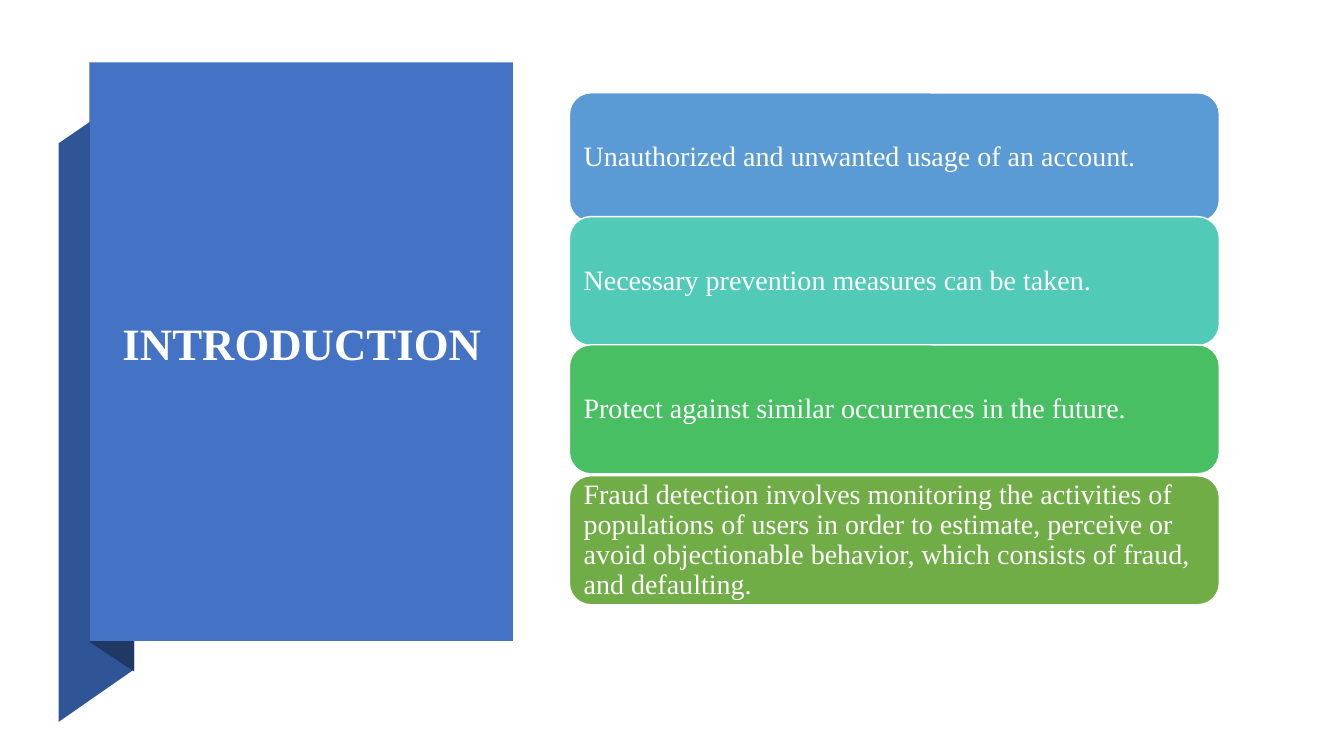
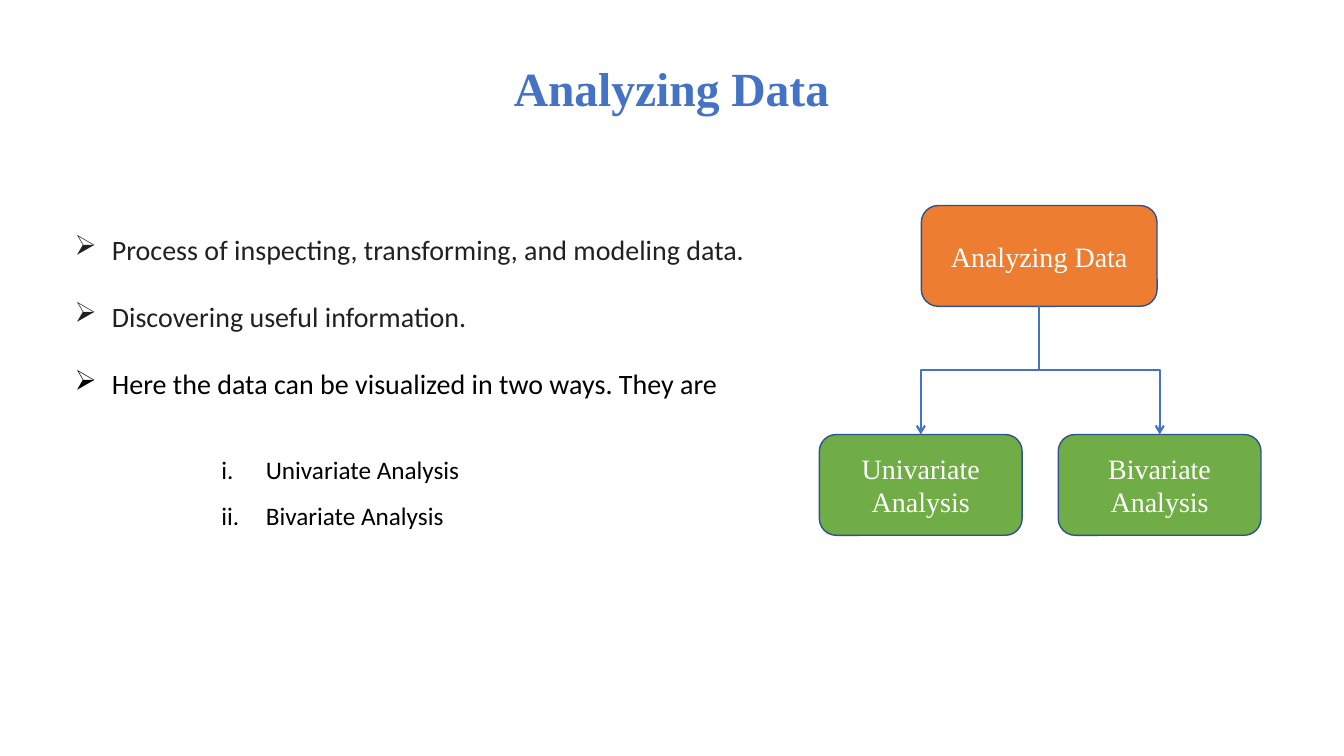
from dataclasses import dataclass

from lxml.etree import SubElement
from pptx import Presentation
from pptx.dml.color import RGBColor
from pptx.enum.shapes import MSO_CONNECTOR as Link, MSO_SHAPE as Preset
from pptx.enum.text import MSO_ANCHOR as Anchor, PP_ALIGN as Align
from pptx.oxml.ns import qn
from pptx.util import Cm, Pt

COLORS = {
    "white": "FFFFFF",
    "black": "000000",
    "ink": "202122",
    "blue": "4472C4",
    "ribbon": "2F5597",
    "fold": "203864",
    "outline": "2F528F",
    "sky": "5B9BD5",
    "teal": "52CAB8",
    "emerald": "49BF64",
    "green": "70AD47",
    "orange": "ED7D31",
}
SERIF = "Times New Roman"
SANS = "Calibri"


@dataclass(frozen=True)
class Area:
    left: float
    top: float
    width: float
    height: float

    def lengths(self) -> tuple:
        return Cm(self.left), Cm(self.top), Cm(self.width), Cm(self.height)


@dataclass(frozen=True)
class Style:
    font: str
    size: int
    color: str
    bold: bool = False
    align: Align = Align.LEFT
    spacing: float = 1.0


@dataclass(frozen=True)
class Card:
    text: str
    top: float
    fill: str


@dataclass(frozen=True)
class Node:
    text: str
    area: Area
    fill: str


@dataclass(frozen=True)
class Marker:
    tag: str
    attribute: str
    value: str
    indent: float


@dataclass(frozen=True)
class Item:
    text: str
    style: Style


PANEL_TITLE = Style(SERIF, 32, "white", True, Align.CENTER, 0.9)
PAGE_TITLE = Style(SERIF, 34, "blue", True, Align.CENTER)
CARD_TEXT = Style(SERIF, 20, "white", spacing=0.9)
NODE_TEXT = Style(SERIF, 20, "white", align=Align.CENTER)
POINT = Style(SANS, 20, "ink", align=Align.JUSTIFY, spacing=2.0)
LAST_POINT = Style(SANS, 20, "black", spacing=2.0)
SUBPOINT = Style(SANS, 18, "black", align=Align.JUSTIFY, spacing=1.5)

ARROW_BULLET = Marker("a:buChar", "char", "➢", 0.94)
ROMAN_NUMBER = Marker("a:buAutoNum", "type", "romanLcPeriod", 1.12)

RIBBON = [(1.48, 18.19), (3.38, 16.87), (3.38, 2.31), (1.48, 3.61)]
FOLD = [(2.26, 16.18), (3.38, 16.92), (3.38, 2.29), (2.26, 1.57)]
PANEL = Area(2.26, 1.57, 10.67, 14.58)

CARDS = [
    Card("Unauthorized and unwanted usage of an account.", 2.34, "sky"),
    Card("Necessary prevention measures can be taken.", 5.46, "teal"),
    Card("Protect against similar occurrences in the future.", 8.69, "emerald"),
    Card(
        "Fraud detection involves monitoring the activities of populations of users "
        "in order to estimate, perceive or avoid objectionable behavior, which "
        "consists of fraud, and defaulting.",
        11.99,
        "green",
    ),
]

POINTS = [
    Item("Process of inspecting, transforming, and modeling data.", POINT),
    Item("Discovering useful information.", POINT),
    Item("Here the data can be visualized in two ways. They are", LAST_POINT),
]
ANALYSES = ["Univariate Analysis", "Bivariate Analysis"]
ROOT = Node("Analyzing Data", Area(23.22, 5.18, 5.94, 2.54), "orange")
BRANCHES = [
    Node(text, Area(20.65 + 6.02 * index, 10.95, 5.11, 2.54), "green")
    for index, text in enumerate(ANALYSES)
]


def rgb(name: str) -> RGBColor:
    return RGBColor.from_string(COLORS[name])


def paint(shape, fill: str, outline: str = "") -> None:
    shape.shadow.inherit = False
    shape.fill.solid()
    shape.fill.fore_color.rgb = rgb(fill)
    if outline:
        shape.line.color.rgb = rgb(outline)
        shape.line.width = Pt(1)
    else:
        shape.line.fill.background()


def write(para, text: str, style: Style) -> None:
    para.alignment = style.align
    para.line_spacing = style.spacing
    span = para.add_run()
    span.text = text
    span.font.name = style.font
    span.font.size = Pt(style.size)
    span.font.bold = style.bold
    span.font.color.rgb = rgb(style.color)


def mark(para, marker: Marker) -> None:
    properties = para._p.get_or_add_pPr()
    properties.set("marL", str(Cm(marker.indent)))
    properties.set("indent", str(-Cm(marker.indent)))
    SubElement(properties, qn(marker.tag)).set(marker.attribute, marker.value)


def add_polygon(page, points: list, fill: str) -> None:
    corners = [(Cm(x), Cm(y)) for x, y in points]
    builder = page.shapes.build_freeform(*corners[0])
    builder.add_line_segments(corners[1:], close=True)
    paint(builder.convert_to_shape(), fill)


def add_text(page, area: Area, items: list, anchor=Anchor.TOP, marker=None) -> None:
    frame = page.shapes.add_textbox(*area.lengths()).text_frame
    frame.word_wrap = True
    frame.vertical_anchor = anchor
    for index, item in enumerate(items):
        para = frame.add_paragraph() if index else frame.paragraphs[0]
        write(para, item.text, item.style)
        if marker:
            mark(para, marker)


def add_rounded(page, node: Node, outline: str, style: Style):
    box = page.shapes.add_shape(Preset.ROUNDED_RECTANGLE, *node.area.lengths())
    paint(box, node.fill, outline)
    frame = box.text_frame
    frame.word_wrap = True
    frame.vertical_anchor = Anchor.MIDDLE
    write(frame.paragraphs[0], node.text, style)
    return box


def add_branch_arrow(page, parent, child) -> None:
    start_x, start_y = parent.left + parent.width // 2, parent.top + parent.height
    end_x, end_y = child.left + child.width // 2, child.top
    arrow = page.shapes.add_connector(Link.ELBOW, start_x, start_y, end_x, end_y)
    arrow.begin_connect(parent, 2)
    arrow.end_connect(child, 0)

    run, drop = abs(end_x - start_x), end_y - start_y
    arrow.left = (start_x + end_x - drop) // 2
    arrow.top = (start_y + end_y - run) // 2
    arrow.width, arrow.height = drop, run
    properties = arrow._element.spPr
    rightward = end_x > start_x
    properties.xfrm.rot = 270 if rightward else 90
    properties.xfrm.flipH = rightward
    properties.xfrm.flipV = False

    arrow.line.color.rgb = rgb("blue")
    arrow.line.width = Pt(1.5)
    SubElement(properties.find(qn("a:ln")), qn("a:tailEnd")).set("type", "arrow")
    SubElement(properties, qn("a:effectLst"))


def build_introduction(page) -> None:
    add_polygon(page, RIBBON, "ribbon")
    add_polygon(page, FOLD, "fold")
    panel = page.shapes.add_shape(Preset.RECTANGLE, *PANEL.lengths())
    paint(panel, "blue")
    title = Item("INTRODUCTION", PANEL_TITLE)
    add_text(page, Area(2.67, 2.13, 9.88, 13.16), [title], Anchor.MIDDLE)
    for card in CARDS:
        node = Node(card.text, Area(14.35, card.top, 16.38, 3.25), card.fill)
        frame = add_rounded(page, node, "white", CARD_TEXT).text_frame
        frame.margin_left = frame.margin_right = Cm(0.2)
        frame.margin_top = frame.margin_bottom = Cm(0.2)


def build_analysis(page) -> None:
    add_text(page, Area(11.25, 1.37, 11.35, 1.7), [Item("Analyzing Data", PAGE_TITLE)])
    add_text(page, Area(1.63, 4.88, 18.62, 7.82), POINTS, marker=ARROW_BULLET)
    root = add_rounded(page, ROOT, "outline", NODE_TEXT)
    branches = [add_rounded(page, node, "outline", NODE_TEXT) for node in BRANCHES]
    for branch in branches:
        add_branch_arrow(page, root, branch)
    subpoints = [Item(text, SUBPOINT) for text in ANALYSES]
    add_text(page, Area(5.33, 10.95, 7.44, 3.33), subpoints, marker=ROMAN_NUMBER)


def main() -> None:
    deck = Presentation()
    deck.slide_width, deck.slide_height = Cm(33.87), Cm(19.05)
    for build in (build_introduction, build_analysis):
        build(deck.slides.add_slide(deck.slide_layouts[6]))
    deck.save("out.pptx")


if __name__ == "__main__":
    main()
